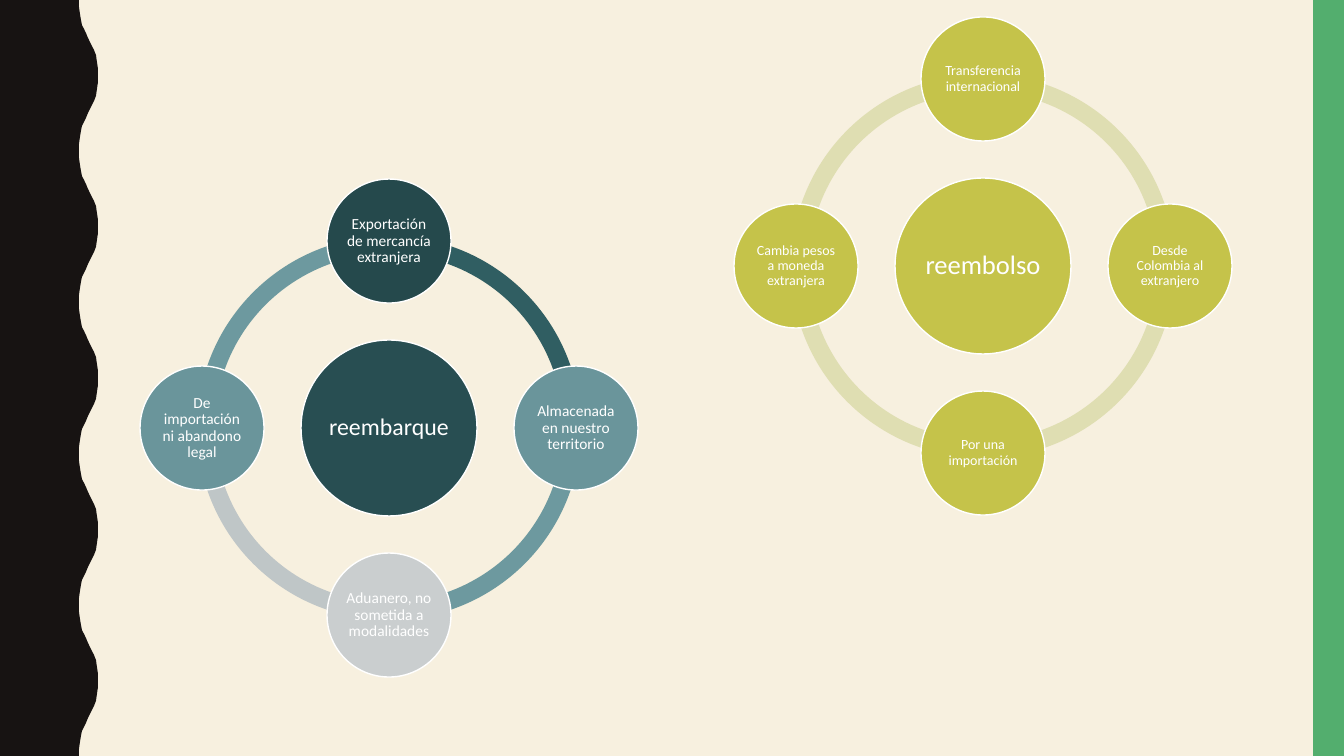
import math
from dataclasses import dataclass

import pptx
import pptx.dml.color
import pptx.enum.shapes
import pptx.enum.text
import pptx.util

WIDTH, HEIGHT = 1344, 756
SCALE = 12192000 / WIDTH  # EMU per px
KIND = pptx.enum.shapes.MSO_SHAPE

COLORS = {
    "cream": "F7F0DF", "black": "171312", "green": "53AE6E", "white": "FFFFFF",
    "hub": "284E52", "deep": "25494C", "teal": "6A959B", "pale": "CACECF",
    "arc deep": "305E62", "arc teal": "6D999F", "arc pale": "BFC6C7",
    "lime": "C5C34A", "arc lime": "DFDEB2",
}

RING, HUB, NODE, ORBIT = 384, 176, 124, 187
INSET = 1
WAVES = 5
# Rising half of one wave, from trough to crest
RISE = [(79, 0), (79, 7), (80, 14), (81, 20), (82, 25), (84, 29), (86, 33), (88, 38),
        (90, 42), (92, 46), (94, 50), (96, 55), (97, 62), (98, 69), (98, 76)]


@dataclass
class Node:
    text: str
    color: str
    arc: str  # colour of the arc that follows, clockwise


@dataclass
class Cycle:
    x: int
    y: int
    title: str
    color: str
    big: int
    small: int
    nodes: list[Node]  # clockwise from the top


CYCLES = [
    Cycle(389, 428, "reembarque", "hub", 17, 11, [
        Node("Exportación de mercancía extranjera", "deep", "arc deep"),
        Node("Almacenada en nuestro territorio", "teal", "arc teal"),
        Node("Aduanero, no sometida a modalidades", "pale", "arc pale"),
        Node("De importación ni abandono legal", "teal", "arc teal"),
    ]),
    Cycle(983, 266, "reembolso", "lime", 19, 10, [
        Node("Transferencia internacional", "lime", "arc lime"),
        Node("Desde Colombia al extranjero", "lime", "arc lime"),
        Node("Por una importación", "lime", "arc lime"),
        Node("Cambia pesos a moneda extranjera", "lime", "arc lime"),
    ]),
]


def emu(px: float) -> int:
    return round(px * SCALE)


def rgb(name: str) -> pptx.dml.color.RGBColor:
    return pptx.dml.color.RGBColor.from_string(COLORS[name])


def paint(shape, color: str) -> None:
    """Give a flat fill with no line or shadow."""
    shape.shadow.inherit = False
    shape.fill.solid()
    shape.fill.fore_color.rgb = rgb(color)
    shape.line.fill.background()


def add_shape(shapes, kind, x: int, y: int, width: int, height: int, color: str):
    shape = shapes.add_shape(kind, emu(x), emu(y), emu(width), emu(height))
    paint(shape, color)
    return shape


def add_disc(shapes, x: int, y: int, size: int, color: str,
             text: str, points: int) -> None:
    """Draw a labelled circle centred on x, y."""
    disc = add_shape(shapes, KIND.OVAL, x - size // 2, y - size // 2, size, size, color)
    disc.line.color.rgb = rgb("white")
    disc.line.width = pptx.util.Pt(1)
    frame = disc.text_frame
    frame.word_wrap = True
    frame.vertical_anchor = pptx.enum.text.MSO_ANCHOR.MIDDLE
    frame.margin_left = frame.margin_right = emu(INSET)
    frame.margin_top = frame.margin_bottom = emu(INSET)
    para = frame.paragraphs[0]
    para.text = text
    para.alignment = pptx.enum.text.PP_ALIGN.CENTER
    para.line_spacing = 0.9
    para.font.name = "Calibri"
    para.font.size = pptx.util.Pt(points)
    para.font.color.rgb = rgb("white")


def add_cycle(slide, cycle: Cycle) -> None:
    shapes = slide.shapes.add_group_shape().shapes
    half = RING // 2
    turns = [(90 * i + 270) % 360 for i in range(len(cycle.nodes))]
    for node, turn in reversed(list(zip(cycle.nodes, turns))):
        arc = add_shape(shapes, KIND.BLOCK_ARC, cycle.x - half, cycle.y - half,
                        RING, RING, node.arc)
        # An adjustment of 0.6 is one degree
        arc.adjustments[0] = turn * 0.6
        arc.adjustments[1] = (turn + 90) % 360 * 0.6
        arc.adjustments[2] = 0.046
    add_disc(shapes, cycle.x, cycle.y, HUB, cycle.color, cycle.title, cycle.big)
    for node, turn in zip(cycle.nodes, turns):
        angle = math.radians(turn)
        add_disc(shapes, cycle.x + round(ORBIT * math.cos(angle)),
                 cycle.y + round(ORBIT * math.sin(angle)),
                 NODE, node.color, node.text, cycle.small)


def add_wave(slide) -> None:
    """Draw the left band with its wavy edge."""
    period = HEIGHT / WAVES
    wave = RISE + [(x, period - y) for x, y in reversed(RISE[:-1])]
    edge = [(x, round(y + period * i)) for i in range(WAVES) for x, y in wave]
    build = slide.shapes.build_freeform(0, 0, scale=SCALE)
    build.add_line_segments(edge + [(0, HEIGHT)], close=True)
    paint(build.convert_to_shape(), "black")


def main() -> None:
    deck = pptx.Presentation()
    deck.slide_width, deck.slide_height = emu(WIDTH), emu(HEIGHT)
    slide = deck.slides.add_slide(deck.slide_layouts[6])
    slide.background.fill.solid()
    slide.background.fill.fore_color.rgb = rgb("cream")
    add_wave(slide)
    add_shape(slide.shapes, KIND.RECTANGLE, 1313, 0, 31, HEIGHT, "green")
    for cycle in CYCLES:
        add_cycle(slide, cycle)
    deck.save("out.pptx")


if __name__ == "__main__":
    main()
